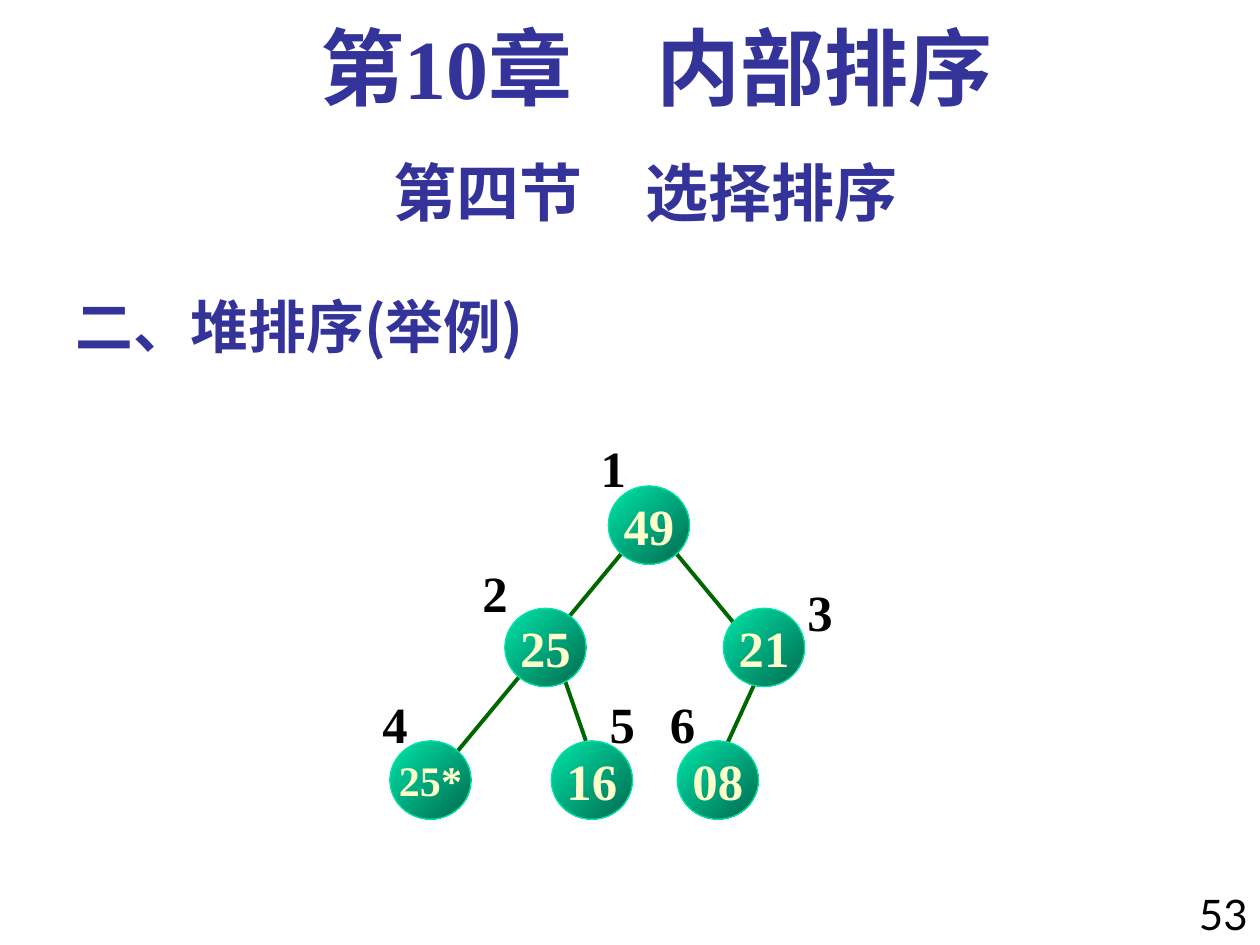
from lxml import etree
from pptx import Presentation
from pptx.dml.color import RGBColor
from pptx.enum.shapes import MSO_CONNECTOR, MSO_SHAPE
from pptx.enum.text import MSO_ANCHOR, PP_ALIGN
from pptx.oxml.ns import qn
from pptx.util import Pt

STRAIGHT = MSO_CONNECTOR.STRAIGHT
ELLIPSE = MSO_SHAPE.OVAL
TOP, MIDDLE, BOTTOM = MSO_ANCHOR.TOP, MSO_ANCHOR.MIDDLE, MSO_ANCHOR.BOTTOM
LEFT, CENTER, RIGHT = PP_ALIGN.LEFT, PP_ALIGN.CENTER, PP_ALIGN.RIGHT

SERIF, SANS, CHINESE = "Times New Roman", "Lato", "Noto Sans CJK SC"
NAVY, BLACK, CREAM = "333399", "000000", "FFFFCC"
MINT, PINE, EDGE_GREEN = "00E4A8", "006A4E", "006600"

NODE_WIDTH, NODE_HEIGHT = 46.4, 44.8
LABEL_WIDTH, LABEL_HEIGHT = 28.8, 41.8
ROOT_TOP, CHILD_TOP, LEAF_TOP = 277.7, 347.6, 423.4
LEAF_LABEL_TOP = 392.4

# key, font size, node left, node top, position number, label left, label top
NODES = [
    ("49", 29, 347.6, ROOT_TOP, "1", 336.2, 246.2),
    ("25", 29, 288.5, CHILD_TOP, "2", 268.6, 317.5),
    ("21", 29, 413.4, CHILD_TOP, "3", 454.3, 328.3),
    ("25*", 24, 222.8, LEAF_TOP, "4", 211.5, LEAF_LABEL_TOP),
    ("16", 29, 315, LEAF_TOP, "5", 341.3, LEAF_LABEL_TOP),
    ("08", 29, 387, LEAF_TOP, "6", 375.8, LEAF_LABEL_TOP),
]

# The longest edge runs from the root behind node 25 to its left leaf.
EDGES = [
    (433.4, 385.9, 413.3, 429.8),
    (380.9, 309.6, 433.4, 373),
    (321.8, 385.9, 334.8, 423.4),
    (360.7, 309.6, 255.6, 436.3),
]


def rgb(value):
    return RGBColor.from_string(value)


def write_text(shape, text, size, font, color, bold=True, align=LEFT,
               anchor=TOP, wrap=True):
    frame = shape.text_frame
    frame.word_wrap = wrap
    frame.vertical_anchor = anchor
    para = frame.paragraphs[0]
    para.text = text
    para.alignment = align
    para.font.size = Pt(size)
    para.font.bold = bold
    para.font.color.rgb = rgb(color)
    para.font.name = font
    defaults = para._p.pPr.find(qn("a:defRPr"))
    etree.SubElement(defaults, qn("a:ea"), typeface=CHINESE)
    return para


def add_text(slide, left, top, width, height, *text, **style):
    box = slide.shapes.add_textbox(Pt(left), Pt(top), Pt(width), Pt(height))
    return write_text(box, *text, **style)


def add_edge(slide, *ends):
    edge = slide.shapes.add_connector(STRAIGHT, *map(Pt, ends))
    edge.line.color.rgb = rgb(EDGE_GREEN)
    edge.line.width = Pt(2.25)
    etree.SubElement(edge._element.spPr, qn("a:effectLst"))


def add_node(slide, key, size, left, top):
    node = slide.shapes.add_shape(ELLIPSE, Pt(left), Pt(top),
                                  Pt(NODE_WIDTH), Pt(NODE_HEIGHT))
    node.shadow.inherit = False
    node.fill.gradient()
    node.fill.gradient_angle = 315
    for stop, position, color in zip(node.fill.gradient_stops, (0, 1), (MINT, PINE)):
        stop.position = position
        stop.color.rgb = rgb(color)
    node.line.color.rgb = rgb(MINT)
    node.line.width = Pt(0.75)
    write_text(node, key, size, SERIF, CREAM, align=CENTER, anchor=MIDDLE, wrap=False)


def add_heap(slide):
    for edge in EDGES:
        add_edge(slide, *edge)
    for key, size, left, top, *_ in NODES:
        add_node(slide, key, size, left, top)
    for *_, number, left, top in NODES:
        add_text(slide, left, top, LABEL_WIDTH, LABEL_HEIGHT,
                 number, 29, SERIF, BLACK, wrap=False)


def main():
    deck = Presentation()
    deck.slide_width, deck.slide_height = Pt(720), Pt(540)
    slide = deck.slides.add_slide(deck.slide_layouts[6])

    add_text(slide, 36, 156, 450, 53.5, "二、堆排序(举例)", 33, CHINESE, NAVY,
             anchor=BOTTOM)
    add_text(slide, 672, 504, 48, 41.8, "53", 24, SANS, BLACK,
             bold=False, align=RIGHT)
    add_text(slide, 36, 84, 666, 50.4, "第四节　选择排序", 36, SANS, NAVY,
             align=CENTER)
    chapter = add_text(slide, 48, 12, 654, 60, "第10章　内部排序", 48, SERIF, NAVY,
                       align=CENTER)
    chapter.line_spacing = 0.9
    add_heap(slide)

    deck.save("out.pptx")


if __name__ == "__main__":
    main()
